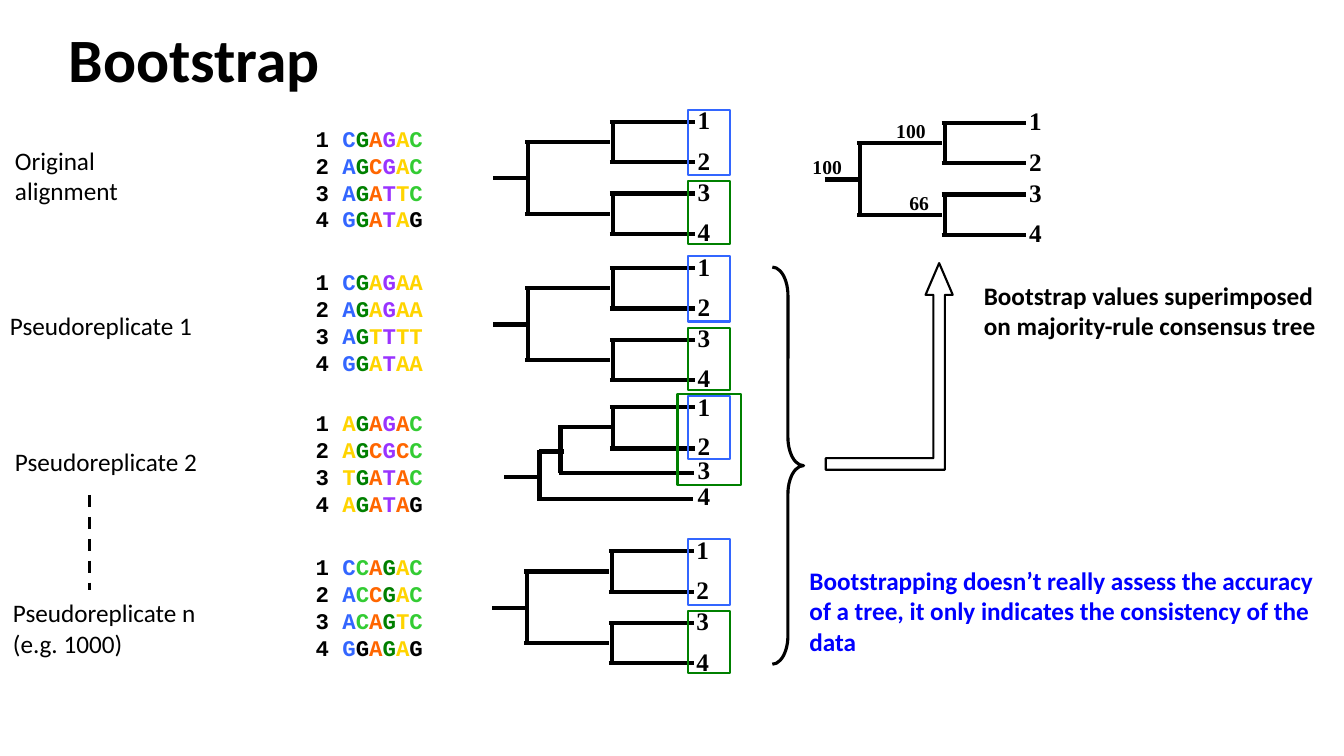
from lxml.etree import SubElement
from pptx import Presentation
from pptx.dml.color import RGBColor
from pptx.enum.dml import MSO_LINE
from pptx.enum.shapes import MSO_CONNECTOR, MSO_SHAPE
from pptx.enum.text import MSO_ANCHOR, MSO_AUTO_SIZE, PP_ALIGN
from pptx.oxml.ns import qn
from pptx.util import Inches, Pt

BLACK, WHITE, BLUE = "000000", "FFFFFF", "0000FF"
CLADE_12, CLADE_34 = "3366FF", "008000"
BASE_COLOURS = {"B": "3366FF", "G": "008000", "O": "FF6600",
                "P": "9933FF", "Y": "FFD400", "L": "33CC33"}
SANS, SERIF, MONO = "Calibri", "Times New Roman", "Courier New"

# top, colour key of each column, sequences
ALIGNMENTS = [
    (1.15, "BGOPYL", ["CGAGAC", "AGCGAC", "AGATTC", "GGATAG"]),
    (2.57, "BGYPYY", ["CGAGAA", "AGAGAA", "AGTTTT", "GGATAA"]),
    (3.97, "YGOPOL", ["AGAGAC", "AGCGCC", "TGATAC", "AGATAG"]),
    (5.40, "BLOGYL", ["CCAGAC", "ACCGAC", "ACAGTC", "GGAGAG"]),
]

# Root of each tree that pairs 1 with 2 and 3 with 4
REPLICATE_ROOTS = [(4.89, 1.77), (4.89, 3.22), (4.88, 6.03)]
CONSENSUS_ROOT = (8.18, 1.78)

# Branches of the tree of pseudoreplicate 2: x1, y1, x2, y2
NESTED_BRANCHES = [
    (5.00, 4.73, 5.36, 4.73), (5.35, 4.46, 5.35, 4.93),
    (5.33, 4.95, 6.87, 4.95), (5.35, 4.48, 5.59, 4.48),
    (5.56, 4.22, 5.56, 4.69), (5.54, 4.69, 6.88, 4.69),
    (5.56, 4.24, 6.06, 4.24), (6.08, 4.06, 6.08, 4.44),
    (6.05, 4.04, 6.89, 4.04), (6.05, 4.45, 6.89, 4.45),
]
NESTED_LABEL_TOPS = [3.83, 4.22, 4.46, 4.72]

# left, top, width, height, lines
ROW_NAMES = [
    (0.05, 1.39, 1.89, 0.71, ["Original alignment"]),
    (0, 3.03, 3.10, 0.40, ["Pseudoreplicate 1"]),
    (0.05, 4.38, 3.05, 0.40, ["Pseudoreplicate 2"]),
    (0.03, 5.88, 3.07, 0.71, ["Pseudoreplicate n", "(e.g. 1000)"]),
]
# left, top, width, value
SUPPORT_VALUES = [(8.79, 1.13, 0.49, "100"), (8.92, 1.84, 0.40, "66"),
                  (7.96, 1.49, 0.49, "100")]


def colour(hex_string):
    return RGBColor.from_string(hex_string)


class BootstrapSlide:
    def __init__(self, presentation):
        self.slide = presentation.slides.add_slide(presentation.slide_layouts[5])
        self.shapes = self.slide.shapes

    def style(self, run, size, font, hex_string=BLACK, bold=True):
        run.font.size = Pt(size)
        run.font.name = font
        run.font.bold = bold
        run.font.color.rgb = colour(hex_string)

    def title(self, text):
        title = self.shapes.title
        title.left, title.top = Inches(0.58), Inches(0)
        title.width, title.height = Inches(12), Inches(1.25)
        title.text_frame.text = text
        title.text_frame.vertical_anchor = MSO_ANCHOR.MIDDLE
        paragraph = title.text_frame.paragraphs[0]
        paragraph.alignment = PP_ALIGN.LEFT
        paragraph.line_spacing = 0.9
        self.style(paragraph.runs[0], 44, SANS)

    def frame(self, left, top, width, height, wrap=True, insets=(0.1, 0.05)):
        """Add an empty text box and return its text frame."""
        frame = self.shapes.add_textbox(
            Inches(left), Inches(top), Inches(width), Inches(height)).text_frame
        frame.word_wrap = wrap
        frame.auto_size = MSO_AUTO_SIZE.SHAPE_TO_FIT_TEXT
        frame.margin_left = frame.margin_right = Inches(insets[0])
        frame.margin_top = frame.margin_bottom = Inches(insets[1])
        return frame

    def text(self, left, top, width, height, lines, size=18, font=SANS,
             hex_string=BLACK, bold=True, wrap=True):
        frame = self.frame(left, top, width, height, wrap)
        frame.text = "\n".join(lines)
        for paragraph in frame.paragraphs:
            self.style(paragraph.runs[0], size, font, hex_string, bold)

    def alignment(self, top, column_key, sequences):
        frame = self.frame(2.96, top, 1.42, 1.25, False, (0.17, 0.09))
        for number, sequence in enumerate(sequences, 1):
            paragraph = (frame.paragraphs[0] if number == 1
                         else frame.add_paragraph())
            paragraph.text = f"{number} "
            self.style(paragraph.runs[0], 16, MONO)
            for base, key in zip(sequence, column_key):
                run = paragraph.add_run()
                run.text = base
                differs = key == "L" and base == "G"
                self.style(run, 16, MONO,
                           BLACK if differs else BASE_COLOURS[key])

    def line(self, x1, y1, x2, y2, weight=3.0, dash=None):
        line = self.shapes.add_connector(
            MSO_CONNECTOR.STRAIGHT,
            Inches(x1), Inches(y1), Inches(x2), Inches(y2))
        line.line.color.rgb = colour(BLACK)
        line.line.width = Pt(weight)
        if dash:
            line.line.dash_style = dash
        SubElement(line._element.spPr, qn("a:effectLst"))

    def shape(self, kind, left, top, width, height, outline=BLACK, weight=1.5,
              fill=None, adjustments=()):
        shape = self.shapes.add_shape(
            kind, Inches(left), Inches(top), Inches(width), Inches(height))
        shape.shadow.inherit = False
        shape.line.color.rgb = colour(outline)
        shape.line.width = Pt(weight)
        if fill:
            shape.fill.solid()
            shape.fill.fore_color.rgb = colour(fill)
        else:
            shape.fill.background()
        for index, value in enumerate(adjustments):
            shape.adjustments[index] = value

    def taxa(self, left, tops):
        for number, top in enumerate(tops, 1):
            self.text(left, top, 0.33, 0.4, [str(number)], font=SERIF, wrap=False)

    def paired_tree(self, x, y):
        """Draw the tree ((1,2),(3,4)) with its root at x, y."""
        self.line(x, y, x + 0.36, y)
        self.line(x + 0.35, y - 0.34, x + 0.35, y + 0.36)
        for branch in (y - 0.36, y + 0.35):
            self.line(x + 0.32, branch, x + 1.16, branch)
            self.line(x + 1.19, branch - 0.19, x + 1.19, branch + 0.19)
            for tip in (branch - 0.2, branch + 0.2):
                self.line(x + 1.16, tip, x + 2, tip)
        self.taxa(x + 1.93, [y - 0.78, y - 0.38, y - 0.07, y + 0.33])

    def clade_box(self, left, top, width, height, outline):
        self.shape(MSO_SHAPE.RECTANGLE, left, top, width, height, outline)


def main():
    presentation = Presentation()
    presentation.slide_width = Inches(13.33)
    presentation.slide_height = Inches(7.5)
    slide = BootstrapSlide(presentation)

    slide.title("Bootstrap")
    for row_name in ROW_NAMES:
        slide.text(*row_name, bold=False)
    slide.line(0.89, 4.91, 0.89, 5.85, 2.25, MSO_LINE.DASH)
    for alignment in ALIGNMENTS:
        slide.alignment(*alignment)

    for x, y in REPLICATE_ROOTS:
        slide.paired_tree(x, y)
        slide.clade_box(6.82, y - 0.68, 0.42, 0.65, CLADE_12)
        slide.clade_box(6.82, y + 0.03, 0.42, 0.62, CLADE_34)
    for branch in NESTED_BRANCHES:
        slide.line(*branch)
    slide.taxa(6.82, NESTED_LABEL_TOPS)
    slide.clade_box(6.82, 3.93, 0.42, 0.62, CLADE_12)
    slide.clade_box(6.72, 3.91, 0.63, 0.90, CLADE_34)

    slide.shape(MSO_SHAPE.RIGHT_BRACE, 7.66, 2.65, 0.31, 3.94, weight=2.25,
                adjustments=(0.91, 0.5))
    slide.shape(MSO_SHAPE.BENT_UP_ARROW, 8.19, 2.61, 1.26, 2.05, fill=WHITE,
                adjustments=(0.091, 0.107, 0.25))
    slide.paired_tree(*CONSENSUS_ROOT)
    for left, top, width, value in SUPPORT_VALUES:
        slide.text(left, top, width, 0.33, [value], 14, SERIF, wrap=False)
    slide.text(9.66, 2.73, 3.67, 0.71, [
        "Bootstrap values superimposed on majority-rule consensus tree"])
    slide.text(7.93, 5.56, 5.41, 1.01, [
        "Bootstrapping doesn’t really assess the accuracy of a tree, "
        "it only indicates the consistency of the data"], hex_string=BLUE)

    presentation.save("out.pptx")


if __name__ == "__main__":
    main()
